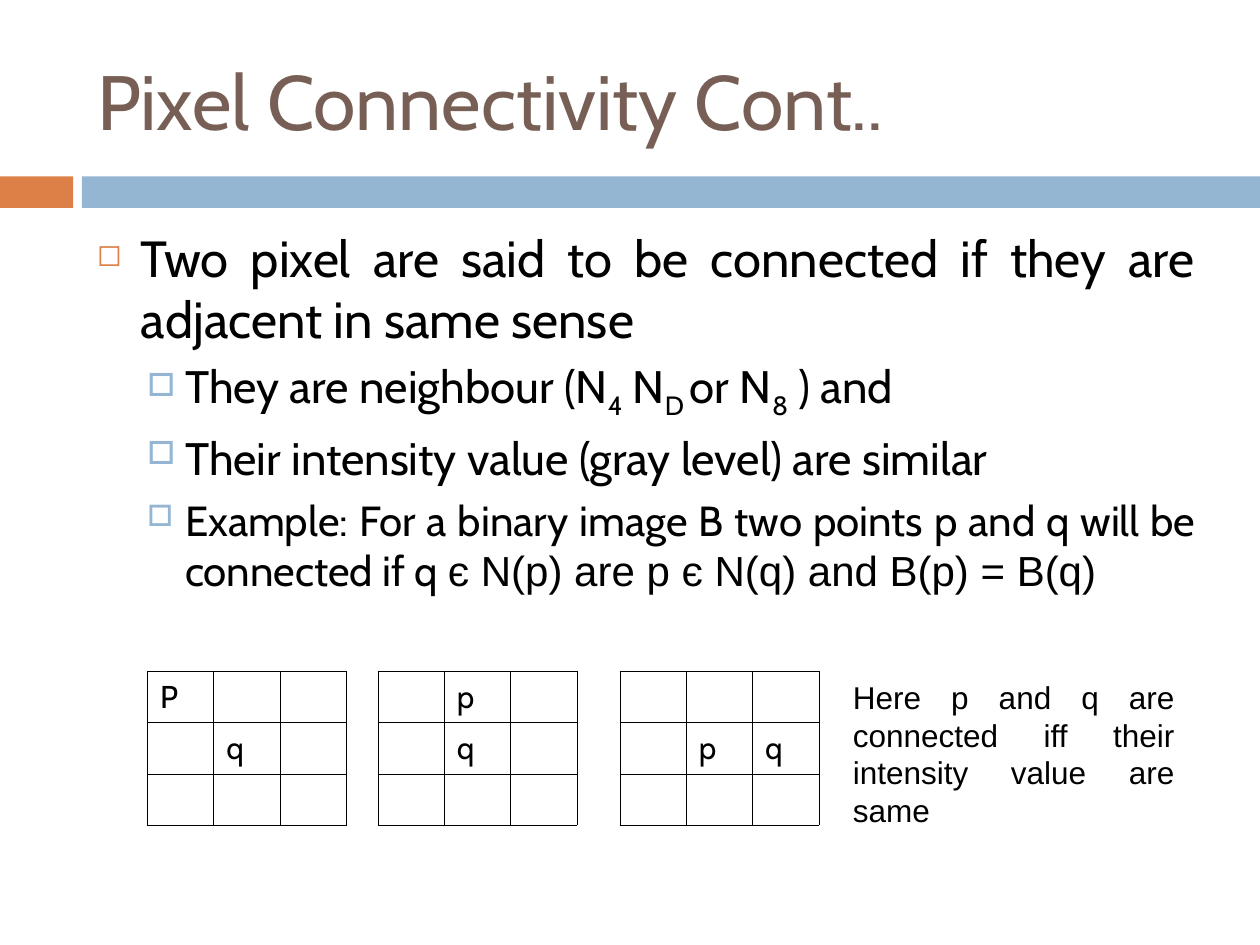
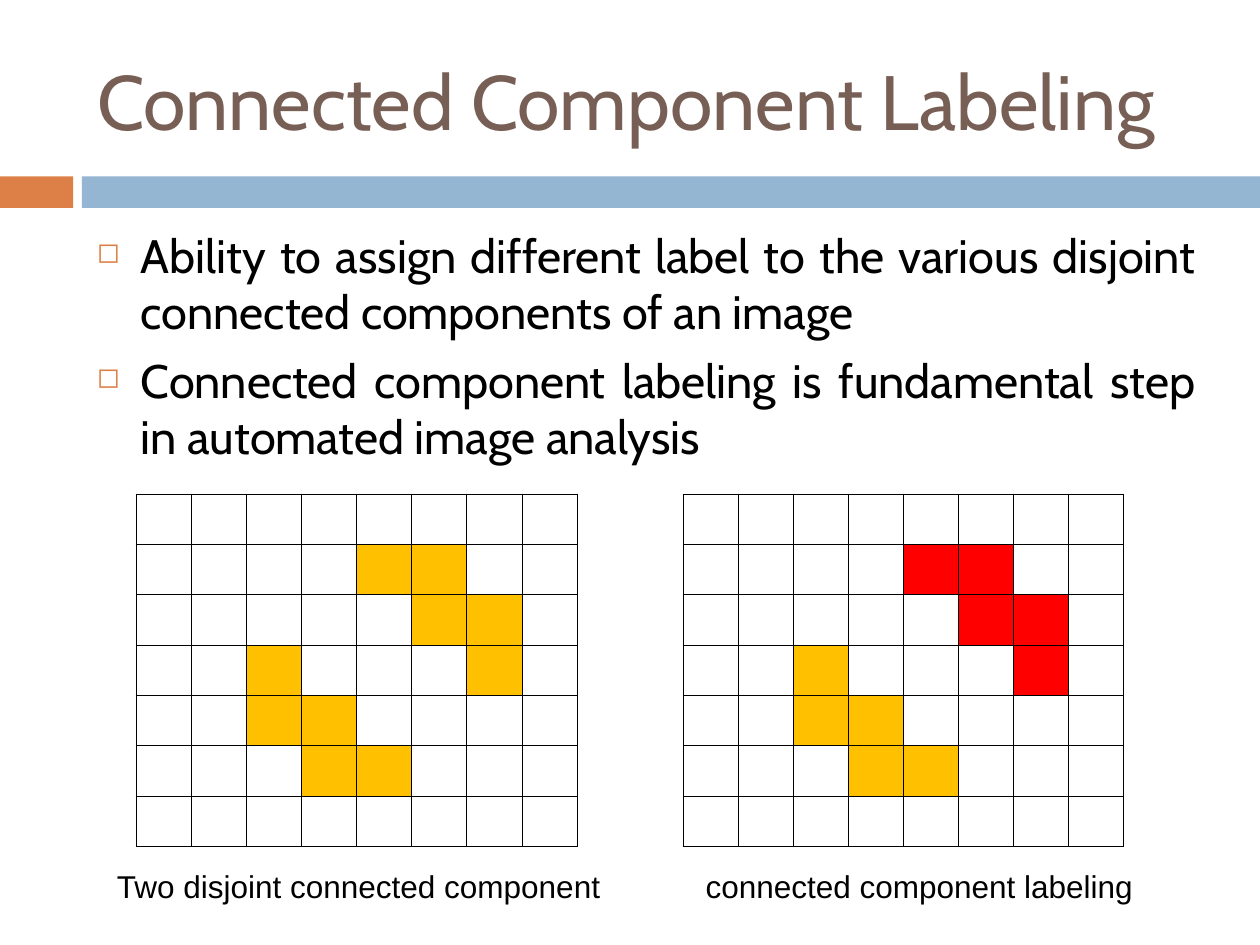
import dataclasses
from typing import Any, NamedTuple

import lxml.etree
import pptx
import pptx.dml.color
import pptx.enum.shapes
import pptx.enum.text
import pptx.oxml.ns
import pptx.util

Inches = pptx.util.Inches
Pt = pptx.util.Pt
ALIGN = pptx.enum.text.PP_ALIGN

COLORS = {
    "title": "775F55",
    "accent": "DD8047",
    "band": "94B6D2",
    "text": "000000",
    "paper": "FFFFFF",
    "component": "FFC000",
    "relabeled": "FF0000",
}
HEADING_FONT = "Cabin"
NOTE_FONT = "Arial"
FRAME_FORMAT = {
    "word_wrap": True,
    "auto_size": pptx.enum.text.MSO_AUTO_SIZE.NONE,
    "margin_left": Inches(0.1),
    "margin_right": Inches(0.1),
    "margin_top": Inches(0.05),
    "margin_bottom": Inches(0.05),
}


class Box(NamedTuple):
    left: float
    top: float
    width: float
    height: float

    def lengths(self) -> list[int]:
        return [Inches(value) for value in self]


class Band(NamedTuple):
    box: Box
    color: str


class Piece(NamedTuple):
    text: str
    font: str = HEADING_FONT
    subscript: bool = False


class Level(NamedTuple):
    depth: int
    margin: float
    hanging: float
    before: float
    bullet: str
    color: str
    percent: int


@dataclasses.dataclass
class Point:
    level: Level
    size: float
    pieces: list[Piece]


@dataclasses.dataclass
class PixelGrid:
    box: Box
    rows: list[str]
    fills: dict[str, str] = dataclasses.field(default_factory=dict)


@dataclasses.dataclass
class Note:
    box: Box
    text: str
    align: Any


TITLE_BOX = Box(0.67, 0.25, 8.92, 1.08)
BANDS = [
    Band(Box(0, 1.4, 0.58, 0.25), "accent"),
    Band(Box(0.65, 1.4, 9.35, 0.25), "band"),
]
MAIN = Level(0, 0.35, 0.35, 7, "◻", "accent", 60)
DETAIL = Level(1, 0.7, 0.3, 5.5, "□", "band", 70)

CONNECTIVITY_POINTS = [
    Point(MAIN, 29, [Piece("Two pixel are said to be connected if they are adjacent in same sense")]),
    Point(DETAIL, 26, [
        Piece("They are neighbour (N"),
        Piece("4", subscript=True),
        Piece(" N"),
        Piece("D ", subscript=True),
        Piece("or N"),
        Piece("8", subscript=True),
        Piece(" ) and"),
    ]),
    Point(DETAIL, 26, [Piece("Their intensity value (gray level) are similar")]),
    Point(DETAIL, 24, [
        Piece("Example: For a binary image B two points p and q will be connected if q "),
        Piece("є N(p) are p є N(q) and B(p) = B(q)", NOTE_FONT),
    ]),
]
NEIGHBOUR_CASES = {
    1.17: ["P..", ".q.", "..."],
    3: [".p.", ".q.", "..."],
    4.92: ["...", ".pq", "..."],
}
LABELING_POINTS = [
    Point(MAIN, 26.8, [Piece(text)])
    for text in (
        "Ability to assign different label to the various disjoint connected components of an image",
        "Connected component labeling is fundamental step in automated image analysis",
    )
]
COMPONENT_MAP = [
    "........",
    "....BB..",
    ".....BB.",
    "..A...B.",
    "..AA....",
    "...AA...",
    "........",
]
LABELINGS = {
    1.08: {"A": "component", "B": "component"},
    5.42: {"A": "component", "B": "relabeled"},
}


def rgb(name: str) -> pptx.dml.color.RGBColor:
    return pptx.dml.color.RGBColor.from_string(COLORS[name])


def apply(target: Any, values: dict[str, Any]) -> None:
    for attribute, value in values.items():
        setattr(target, attribute, value)


def add_piece(paragraph: Any, piece: Piece, size: float, color: str = "text") -> None:
    run = paragraph.add_run()
    run.text = piece.text
    apply(run.font, {"name": piece.font, "size": Pt(size)})
    run.font.color.rgb = rgb(color)
    if piece.subscript:
        run._r.get_or_add_rPr().set("baseline", "-25000")


def add_child(parent: Any, tag: str, **attributes: str) -> Any:
    return lxml.etree.SubElement(parent, pptx.oxml.ns.qn(tag), attributes)


def set_bullet(paragraph: Any, level: Level) -> None:
    properties = paragraph._p.get_or_add_pPr()
    properties.set("marL", str(Inches(level.margin)))
    properties.set("indent", str(-Inches(level.hanging)))
    add_child(add_child(properties, "a:buClr"), "a:srgbClr", val=COLORS[level.color])
    add_child(properties, "a:buSzPct", val=str(level.percent * 1000))
    add_child(properties, "a:buChar", char=level.bullet)


def add_titled_slide(deck: Any, title: str) -> Any:
    slide = deck.slides.add_slide(deck.slide_layouts[5])
    for band in BANDS:
        bar = slide.shapes.add_shape(pptx.enum.shapes.MSO_SHAPE.RECTANGLE, *band.box.lengths())
        bar.shadow.inherit = False
        bar.fill.solid()
        bar.fill.fore_color.rgb = rgb(band.color)
        bar.line.fill.background()
    heading = slide.shapes.title
    apply(heading, dict(zip(("left", "top", "width", "height"), TITLE_BOX.lengths())))
    apply(heading.text_frame, FRAME_FORMAT)
    heading.text_frame.vertical_anchor = pptx.enum.text.MSO_ANCHOR.MIDDLE
    line = heading.text_frame.paragraphs[0]
    line.alignment = ALIGN.LEFT
    add_piece(line, Piece(title), 44, "title")
    return slide


def add_frame(slide: Any, box: Box) -> Any:
    frame = slide.shapes.add_textbox(*box.lengths()).text_frame
    apply(frame, FRAME_FORMAT)
    return frame


def add_points(slide: Any, box: Box, points: list[Point]) -> None:
    frame = add_frame(slide, box)
    for index, point in enumerate(points):
        paragraph = frame.add_paragraph() if index else frame.paragraphs[0]
        set_bullet(paragraph, point.level)
        apply(paragraph, {
            "level": point.level.depth,
            "alignment": ALIGN.JUSTIFY,
            "space_before": Pt(point.level.before if index else 0),
        })
        for piece in point.pieces:
            add_piece(paragraph, piece, point.size)


def add_note(slide: Any, note: Note) -> None:
    paragraph = add_frame(slide, note.box).paragraphs[0]
    paragraph.alignment = note.align
    add_piece(paragraph, Piece(note.text, NOTE_FONT), 18)


def set_borders(cell: Any) -> None:
    properties = cell._tc.get_or_add_tcPr()
    for side in ("a:lnL", "a:lnR", "a:lnT", "a:lnB"):
        border = add_child(properties, side, w=str(Pt(0.45)))
        add_child(add_child(border, "a:solidFill"), "a:srgbClr", val=COLORS["text"])


def add_grid(slide: Any, grid: PixelGrid) -> None:
    rows, columns = len(grid.rows), len(grid.rows[0])
    table = slide.shapes.add_table(rows, columns, *grid.box.lengths()).table
    apply(table, {"first_row": False, "horz_banding": False})
    for row in table.rows:
        row.height = Inches(grid.box.height / rows)
    for column in table.columns:
        column.width = Inches(grid.box.width / columns)
    for row_index, symbols in enumerate(grid.rows):
        for column_index, symbol in enumerate(symbols):
            cell = table.cell(row_index, column_index)
            labelled = symbol != "." and symbol not in grid.fills
            margin = Inches(0.05 if labelled else 0.02)
            apply(cell, {"margin_top": margin, "margin_bottom": margin})
            set_borders(cell)
            cell.fill.solid()
            cell.fill.fore_color.rgb = rgb(grid.fills.get(symbol, "paper"))
            if labelled:
                add_piece(cell.text_frame.paragraphs[0], Piece(symbol), 18)


def build_connectivity(deck: Any) -> None:
    slide = add_titled_slide(deck, "Pixel Connectivity Cont..")
    add_points(slide, Box(0.67, 1.75, 8.92, 4.92), CONNECTIVITY_POINTS)
    for left, rows in NEIGHBOUR_CASES.items():
        add_grid(slide, PixelGrid(Box(left, 5.33, 1.58, 1.22), rows))
    add_note(slide, Note(
        Box(6.67, 5.33, 2.75, 1.3),
        "Here p and q are connected iff their intensity value are same",
        ALIGN.JUSTIFY,
    ))


def build_labeling(deck: Any) -> None:
    slide = add_titled_slide(deck, "Connected Component Labeling")
    add_points(slide, Box(0.67, 1.75, 8.92, 2.17), LABELING_POINTS)
    for left, fills in LABELINGS.items():
        add_grid(slide, PixelGrid(Box(left, 3.92, 3.5, 2.8), COMPONENT_MAP, fills))
    for caption in (
        Note(Box(0.83, 6.83, 4.25, 0.4), "Two disjoint connected component", ALIGN.LEFT),
        Note(Box(5.17, 6.83, 4.25, 0.4), "connected component labeling", ALIGN.CENTER),
    ):
        add_note(slide, caption)


def main() -> None:
    deck = pptx.Presentation()
    apply(deck, {"slide_width": Inches(10), "slide_height": Inches(7.5)})
    build_connectivity(deck)
    build_labeling(deck)
    deck.save("out.pptx")


if __name__ == "__main__":
    main()
